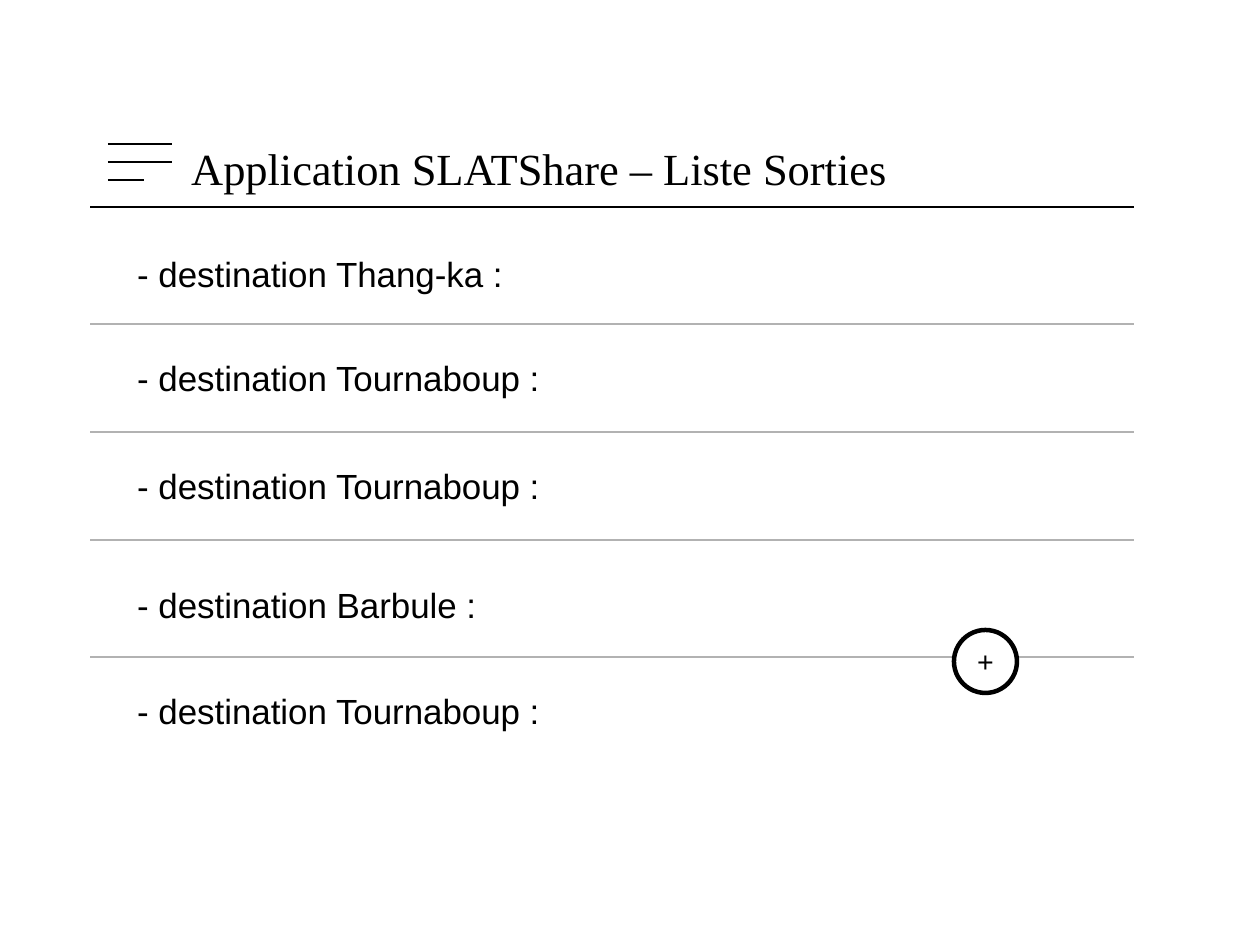
from pptx import Presentation
from pptx.dml.color import RGBColor as RGB
from pptx.enum.shapes import MSO_CONNECTOR as LINK, MSO_SHAPE as SHAPE
from pptx.enum.text import MSO_ANCHOR as ANCHOR, PP_ALIGN as ALIGN
from pptx.util import Cm, Pt
from lxml.etree import SubElement
from pptx.oxml.ns import qn

HUES = {"ink": "000000", "rule": "B2B2B2", "paper": "FFFFFF"}
TRIPS = [
    ("- destination Thang-ka :", 0.89, 2.6),
    ("- destination Tournaboup :", 3.2, 5),
    ("- destination Tournaboup :", 5.61, 7.4),
    ("- destination Barbule :", 8.25, 10),
    ("- destination Tournaboup :", 10.59, None),
]


def hue(name):
    """Give the colour of that name."""
    return RGB.from_string(HUES[name])


def add_rule(slide, left, top, width, name="ink"):
    """Draw a thin level line."""
    rule = slide.shapes.add_connector(
        LINK.STRAIGHT, Cm(left), Cm(top), Cm(left + width), Cm(top))
    rule.line.color.rgb = hue(name)
    rule.line.width = Pt(0.75)
    SubElement(rule._element.spPr, qn("a:effectLst"))


def write(frame, text, font, size):
    """Fill a text frame with one black run."""
    run = frame.paragraphs[0].add_run()
    run.text = text
    run.font.name = font
    run.font.size = Pt(size)
    run.font.color.rgb = hue("ink")


def add_label(slide, left, top, width, height, text, font, size):
    """Place a wrapped text box."""
    box = slide.shapes.add_textbox(Cm(left), Cm(top), Cm(width), Cm(height))
    box.text_frame.word_wrap = True
    write(box.text_frame, text, font, size)


def add_header(slide, left, top, width, height):
    """Draw the menu icon, the title and the line below them."""
    add_label(slide, left + 2, top, 21, 1.35,
              "Application SLATShare – Liste Sorties", "Times New Roman", 28)
    for row, span in enumerate((1.42, 1.42, 0.8)):
        add_rule(slide, left + 0.4, top + 0.2 + 0.4 * row, span)
    add_rule(slide, left, top + height, width)


def add_list(slide, left, top, width):
    """Write the trips, parted by grey lines."""
    for text, drop, end in TRIPS:
        add_label(slide, left + 0.8, top + drop, 12.2, 1.2, text, "Arial", 22)
        if end is not None:
            add_rule(slide, left, top + end, width, "rule")


def add_button(slide, left, top, size):
    """Draw the round plus button."""
    disc = slide.shapes.add_shape(
        SHAPE.OVAL, Cm(left), Cm(top), Cm(size), Cm(size))
    disc.shadow.inherit = False
    disc.fill.solid()
    disc.fill.fore_color.rgb = hue("paper")
    disc.line.color.rgb = hue("ink")
    disc.line.width = Pt(2.83)
    frame = disc.text_frame
    frame.word_wrap = False
    frame.vertical_anchor = ANCHOR.MIDDLE
    frame.margin_left = frame.margin_right = Cm(0.3)
    frame.margin_top = frame.margin_bottom = Cm(0.18)
    frame.paragraphs[0].alignment = ALIGN.CENTER
    write(frame, "+", "Arial", 18)


def main():
    """Build the slide and save it."""
    deck = Presentation()
    deck.slide_width, deck.slide_height = Cm(28), Cm(21)
    slide = deck.slides.add_slide(deck.slide_layouts[6])
    add_header(slide, 2, 3, 23.2, 1.6)
    add_list(slide, 2, 4.6, 23.2)
    add_button(slide, 21.2, 14, 1.4)
    deck.save("out.pptx")


if __name__ == "__main__":
    main()
